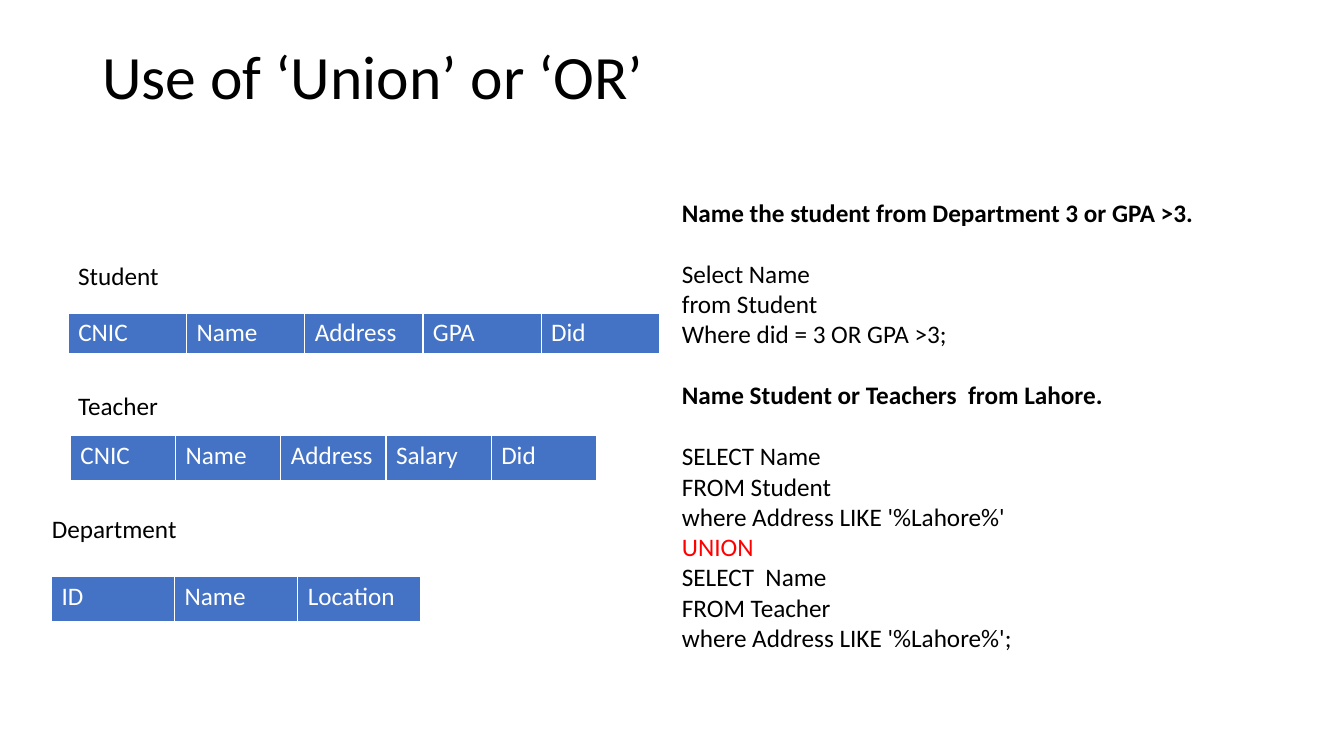
from dataclasses import dataclass

from pptx import Presentation
from pptx import util as u
from pptx.dml.color import RGBColor
from pptx.enum import text

PX = 9525


@dataclass(frozen=True)
class Theme:
    font: str = "Calibri"
    ink: str = "000000"
    accent: str = "FF0000"
    header: str = "4472C4"
    header_ink: str = "FFFFFF"
    title_size: int = 44
    body_size: int = 18
    gap: int = 22


THEME = Theme()


def px(length):
    return u.Emu(length * PX)


def write(para, words, size=THEME.body_size, color=THEME.ink, bold=False,
          gap=0, leading=1.0):
    para.space_before = u.Pt(gap)
    para.line_spacing = leading
    span = para.add_run()
    span.text = words
    span.font.name = THEME.font
    span.font.size = u.Pt(size)
    span.font.bold = bold
    span.font.color.rgb = RGBColor.from_string(color)


class Page:
    def __init__(self, deck, theme):
        self.theme = theme
        self.slide = deck.slides.add_slide(deck.slide_layouts[6])

    def box(self, left, top, width, height, lines,
            anchor=text.MSO_ANCHOR.TOP):
        shape = self.slide.shapes.add_textbox(
            px(left), px(top), px(width), px(height))
        frame = shape.text_frame
        frame.word_wrap = True
        frame.vertical_anchor = anchor
        for index, (words, style) in enumerate(lines):
            para = frame.add_paragraph() if index else frame.paragraphs[0]
            write(para, words, **style)

    def title(self, left, top, width, height, words):
        style = dict(size=self.theme.title_size, leading=0.9)
        self.box(left, top, width, height, [(words, style)],
                 text.MSO_ANCHOR.MIDDLE)

    def label(self, left, top, words):
        self.box(left, top, 288, 38, [(words, {})])

    def schema(self, left, top, width, height, columns):
        table = self.slide.shapes.add_table(
            1, len(columns), px(left), px(top), px(width), px(height)).table
        for cell, name in zip(table.rows[0].cells, columns):
            cell.fill.solid()
            cell.fill.fore_color.rgb = RGBColor.from_string(self.theme.header)
            write(cell.text_frame.paragraphs[0], name,
                  color=self.theme.header_ink)


def main():
    deck = Presentation()
    deck.slide_width, deck.slide_height = px(1280), px(720)
    page = Page(deck, THEME)

    page.title(88, 38, 1104, 75, "Use of ‘Union’ or ‘OR’")

    page.schema(65, 298, 563, 38, ["CNIC", "Name", "Address", "GPA", "Did"])
    page.schema(67, 415, 501, 43, ["CNIC", "Name", "Address", "Salary", "Did"])
    page.schema(49, 549, 352, 43, ["ID", "Name", "Location"])

    page.label(40, 484, "Department")
    page.label(65, 243, "Student")
    page.label(65, 367, "Teacher")

    opening = dict(gap=THEME.gap)
    page.box(640, 183, 624, 450, [
        ("Name the student from Department 3 or GPA >3.", dict(bold=True)),
        ("Select Name", opening),
        ("from Student", {}),
        ("Where did = 3 OR GPA >3;", {}),
        ("Name Student or Teachers  from Lahore.",
         dict(bold=True, gap=THEME.gap)),
        ("SELECT Name", opening),
        ("FROM Student", {}),
        ("where Address LIKE '%Lahore%'", {}),
        ("UNION", dict(color=THEME.accent)),
        ("SELECT  Name", {}),
        ("FROM Teacher", {}),
        ("where Address LIKE '%Lahore%';", {}),
    ])

    deck.save("out.pptx")


if __name__ == "__main__":
    main()
